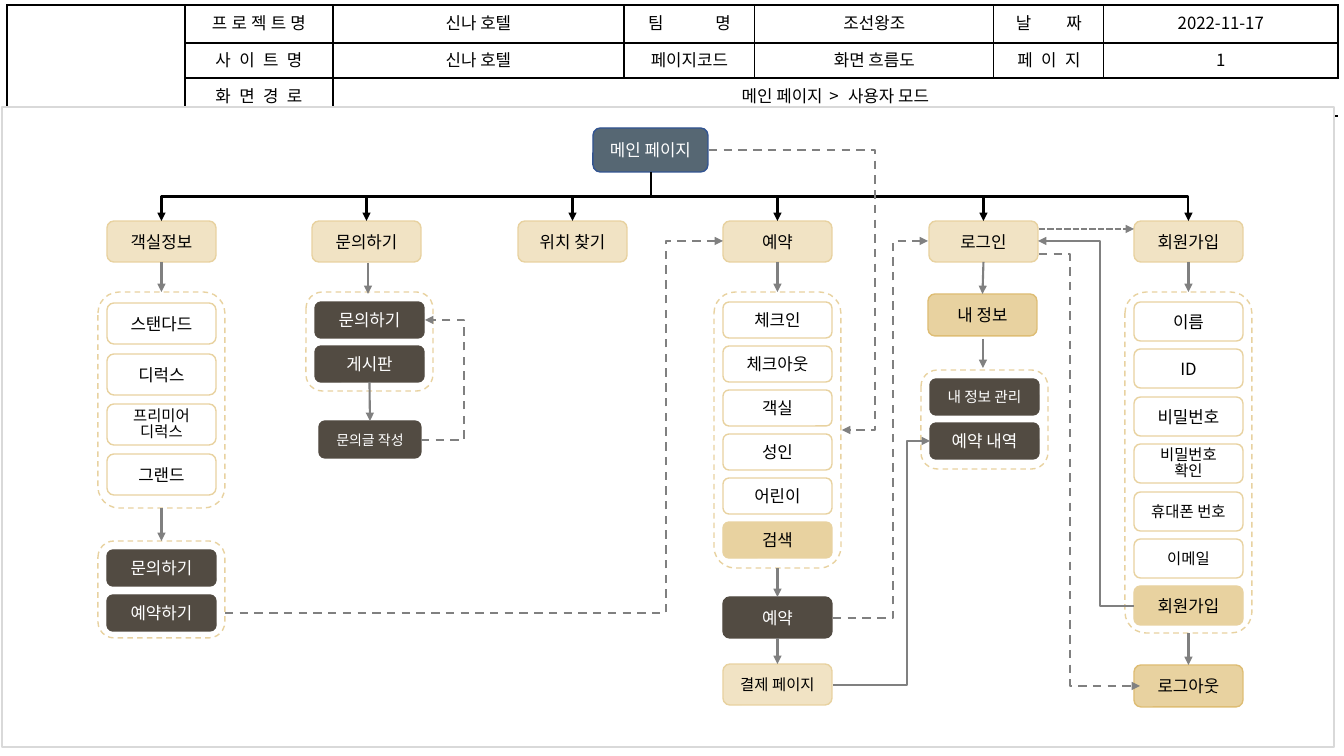
"""Build the user-mode screen flow slide: header table, page boxes and arrows."""
from lxml import etree
from pptx import Presentation
from pptx.dml.color import RGBColor
from pptx.enum.dml import MSO_LINE
from pptx.enum.shapes import MSO_CONNECTOR, MSO_SHAPE
from pptx.enum.text import MSO_ANCHOR, PP_ALIGN
from pptx.oxml.ns import qn
from pptx.util import Pt

ROUNDED, RECTANGLE = MSO_SHAPE.ROUNDED_RECTANGLE, MSO_SHAPE.RECTANGLE
STRAIGHT, ELBOW = MSO_CONNECTOR.STRAIGHT, MSO_CONNECTOR.ELBOW
DASH, SHORT_DASH = MSO_LINE.DASH, MSO_LINE.SQUARE_DOT
CENTER, MIDDLE = PP_ALIGN.CENTER, MSO_ANCHOR.MIDDLE
TOP, BOTTOM = 0, 2
FONT = "Noto Sans CJK KR"
EMU_PER_PX = 914400 / 100.8
COLORS = {"black": "000000", "white": "FFFFFF", "gray": "808080", "rule": "D9D9D9",
          "slate": "566773", "navy": "325491", "cream": "F1E3C4", "sand": "E8D2A0",
          "gold": "DEBD74", "brown": "524B42"}
RGB = {name: RGBColor.from_string(value) for name, value in COLORS.items()}
STYLES = {"main": ("slate", "navy", "white"), "menu": ("cream", "sand", "black"),
          "field": ("white", "sand", "black"), "submit": ("sand", "sand", "black"),
          "page": ("sand", "gold", "black"), "action": ("brown", "brown", "white")}


def px(*values):
    return [round(value * EMU_PER_PX) for value in values]


def add_span(para, text, size=12, color="black", spacing=0):
    span = para.add_run()
    span.text = text
    span.font.size, span.font.name, span.font.bold = Pt(size), FONT, False
    span.font.color.rgb = RGB[color]
    properties = span.font._element
    etree.SubElement(properties, qn("a:ea"), typeface=FONT)
    if spacing:
        properties.set("spc", str(round(spacing * 100)))


deck = Presentation()
deck.slide_width, deck.slide_height = px(1344, 756)
slide = deck.slides.add_slide(deck.slide_layouts[6])
shapes = slide.shapes

column_widths = [178, 148, 291, 131, 239, 110, 234]
row_heights = [38, 35, 38]
header_rows = [
    [[], [("프로젝트명", 3)], [("신나 호텔", 0)], [("팀", 37), ("명", -1.5)],
     [("조선왕조", 0)], [("날", 25), ("짜", 0)], [("2022-11-17", 0)]],
    [[], [("사이트명", 6)], [("신나 호텔", 0)], [("페이지코드", 0)],
     [("화면 흐름도", 0)], [("페이", 6), ("지", 0)], [("1", 0)]],
    [[], [("화면경로", 6)], [("메인 페이지", 0), (" > ", 2), ("사용자 모드", 0)],
     [], [], [], []],
]
table = shapes.add_table(3, 7, *px(7, 5, sum(column_widths), sum(row_heights))).table
table.first_row = table.horz_banding = False
for column, width in zip(table.columns, column_widths):
    column.width = px(width)[0]
for row, height in zip(table.rows, row_heights):
    row.height = px(height)[0]
table.cell(0, 0).merge(table.cell(2, 0))
table.cell(2, 2).merge(table.cell(2, 6))
for r, header_row in enumerate(header_rows):
    for c, spans in enumerate(header_row):
        cell = table.cell(r, c)
        cell.margin_left = cell.margin_right = cell.margin_top = 0
        cell.margin_bottom = px(3)[0]
        cell.vertical_anchor = MIDDLE
        cell.fill.background()
        para = cell.text_frame.paragraphs[0]
        para.alignment = CENTER
        for text, spacing in spans:
            add_span(para, text, spacing=spacing)
        outer = {"L": c == 0, "R": c == 6, "T": r == 0, "B": r == 2}
        merged = {"L": r == 2 and c > 2, "R": r == 2 and 2 <= c < 6,
                  "T": c == 0 and r > 0, "B": c == 0 and r < 2}
        for index, side in enumerate("LRTB"):
            border = etree.Element(qn("a:ln" + side), w=str(Pt(1.5 if outer[side] else 1)))
            if merged[side]:
                etree.SubElement(border, qn("a:noFill"))
            else:
                fill = etree.SubElement(border, qn("a:solidFill"))
                etree.SubElement(fill, qn("a:srgbClr"), val=COLORS["black"])
            cell._tc.get_or_add_tcPr().insert(index, border)

panel = shapes.add_shape(RECTANGLE, *px(2, 107, 1332, 640))
panel.shadow.inherit = False
panel.fill.solid()
panel.fill.fore_color.rgb = RGB["white"]
panel.line.color.rgb, panel.line.width = RGB["rule"], Pt(1)

boxes = [("main", "메인 페이지", 12, "main", 593, 128, 115, 44),
         ("book", "예약", 12, "action", 723, 597, 109, 41),
         ("pay", "결제 페이지", 11, "menu", 723, 664, 109, 41),
         ("my info", "내 정보", 12, "page", 928, 294, 109, 42),
         ("log out", "로그아웃", 12, "page", 1134, 665, 109, 42),
         ("write", "문의글 작성", 10, "action", 319, 421, 102, 37)]
menus = ["객실정보", "문의하기", "위치 찾기", "예약", "로그인", "회원가입"]
for index, text in enumerate(menus):
    boxes.append((index, text, 12, "menu", round(107 + 205.4 * index), 221, 109, 41))

stacks = [
    ("rooms", 98, 292, 216, 303, 50.5, 41, "field",
     [("스탠다드", 12), ("디럭스", 12), ("프리미어\n디럭스", 11), ("그랜드", 12)]),
    ("room actions", 98, 541, 97, 550, 45, 36, "action", [("문의하기", 12), ("예약하기", 12)]),
    ("inquiry", 306, 292, 99, 302, 44, 36, "action", [("문의하기", 12), ("게시판", 12)]),
    ("booking", 714, 292, 276, 302, 44, 36, "field",
     [("체크인", 12), ("체크아웃", 12), ("객실", 12), ("성인", 12), ("어린이", 12), ("검색", 12)]),
    ("account", 921, 370, 99, 379, 44, 36, "action", [("내 정보 관리", 10.5), ("예약 내역", 12)]),
    ("sign up", 1125, 292, 341, 302, 47.4, 39, "field",
     [("이름", 12), ("ID", 12), ("비밀번호", 12), ("비밀번호\n확인", 11),
      ("휴대폰 번호", 11), ("이메일", 11), ("회원가입", 12)]),
]
places = {}
for name, left, top, height, first, pitch, box_height, style, items in stacks:
    frame = shapes.add_shape(ROUNDED, *px(left, top, 127, height))
    frame.shadow.inherit = False
    frame.fill.background()
    frame.line.color.rgb, frame.line.width = RGB["sand"], Pt(1)
    frame.line.dash_style = DASH
    places[name] = frame
    for index, (text, size) in enumerate(items):
        box_style = "submit" if text in ("검색", "회원가입") else style
        boxes.append(((name, index), text, size, box_style, left + 9,
                      round(first + pitch * index), 109, box_height))

for name, text, size, style, *bounds in boxes:
    fill, line, ink = STYLES[style]
    box = shapes.add_shape(ROUNDED, *px(*bounds))
    box.shadow.inherit = False
    box.fill.solid()
    box.fill.fore_color.rgb = RGB[fill]
    box.line.color.rgb, box.line.width = RGB[line], Pt(1)
    frame = box.text_frame
    frame.word_wrap, frame.vertical_anchor = True, MIDDLE
    frame.margin_left = frame.margin_right = frame.margin_top = frame.margin_bottom = 0
    lines = text.split("\n")
    for index, line_text in enumerate(lines):
        para = frame.add_paragraph() if index else frame.paragraphs[0]
        para.alignment = CENTER
        if len(lines) > 1:
            para.line_spacing = 0.85
        add_span(para, line_text, size, ink)
    places[name] = box

arrows = []
for x, y in [(161.5, 221), (1188.5, 221)]:
    start_x, start_y = 651, 172
    center_x, center_y = (start_x + x) / 2, (start_y + y) / 2
    half_x, half_y = (x - start_x) / 2, (y - start_y) / 2
    trunk = shapes.add_connector(ELBOW, *px(center_x - half_y, center_y + half_x,
                                            center_x + half_y, center_y - half_x))
    trunk._element.spPr.find(qn("a:xfrm")).set("rot", str(90 * 60000))
    arrows.append((trunk, "black", None))
for index in range(1, 5):
    x = round(107 + 205.4 * index) + 54.5
    drop = shapes.add_connector(STRAIGHT, *px(x, 197, x, 221))
    drop.end_connect(places[index], TOP)
    arrows.append((drop, "black", None))

joins = [(0, "rooms"), ("rooms", "room actions"), (3, "booking"), ("booking", "book"),
         ("book", "pay"), (4, "my info"), (5, "sign up"), ("sign up", "log out"),
         (("inquiry", 1), "write")]
for source, target in joins:
    step = shapes.add_connector(STRAIGHT, 0, 0, 0, 0)
    step.begin_connect(places[source], BOTTOM)
    step.end_connect(places[target], TOP)
    arrows.append((step, "gray", None))
for *ends, dash in [(368, 263, 368, 294, None), (983, 339, 983, 368, None),
                    (1039, 229, 1134, 229, SHORT_DASH)]:
    arrows.append((shapes.add_connector(STRAIGHT, *px(*ends)), "gray", dash))

elbows = [(1134, 606, 1038, 241, 1100, None), (225, 613, 723, 241, 666, DASH),
          (709, 150, 842, 430, 875, DASH), (833, 685, 930, 441, 907, None),
          (421, 440, 425, 320, 464, DASH), (833, 618, 928, 241, 893, DASH),
          (1039, 254, 1140, 686, 1070, DASH)]
for x1, y1, x2, y2, bend, dash in elbows:
    elbow = shapes.add_connector(ELBOW, *px(x1, y1, x2, y2))
    guides = elbow._element.spPr.find(qn("a:prstGeom")).find(qn("a:avLst"))
    ratio = round((bend - x1) / (x2 - x1) * 100000)
    etree.SubElement(guides, qn("a:gd"), name="adj1", fmla=f"val {ratio}")
    arrows.append((elbow, "gray", dash))

for arrow, color, dash in arrows:
    arrow.line.color.rgb, arrow.line.width = RGB[color], Pt(1.5)
    if dash:
        arrow.line.dash_style = dash
    etree.SubElement(arrow.line._get_or_add_ln(), qn("a:tailEnd"), type="triangle")
    etree.SubElement(arrow._element.spPr, qn("a:effectLst"))

deck.save("out.pptx")
